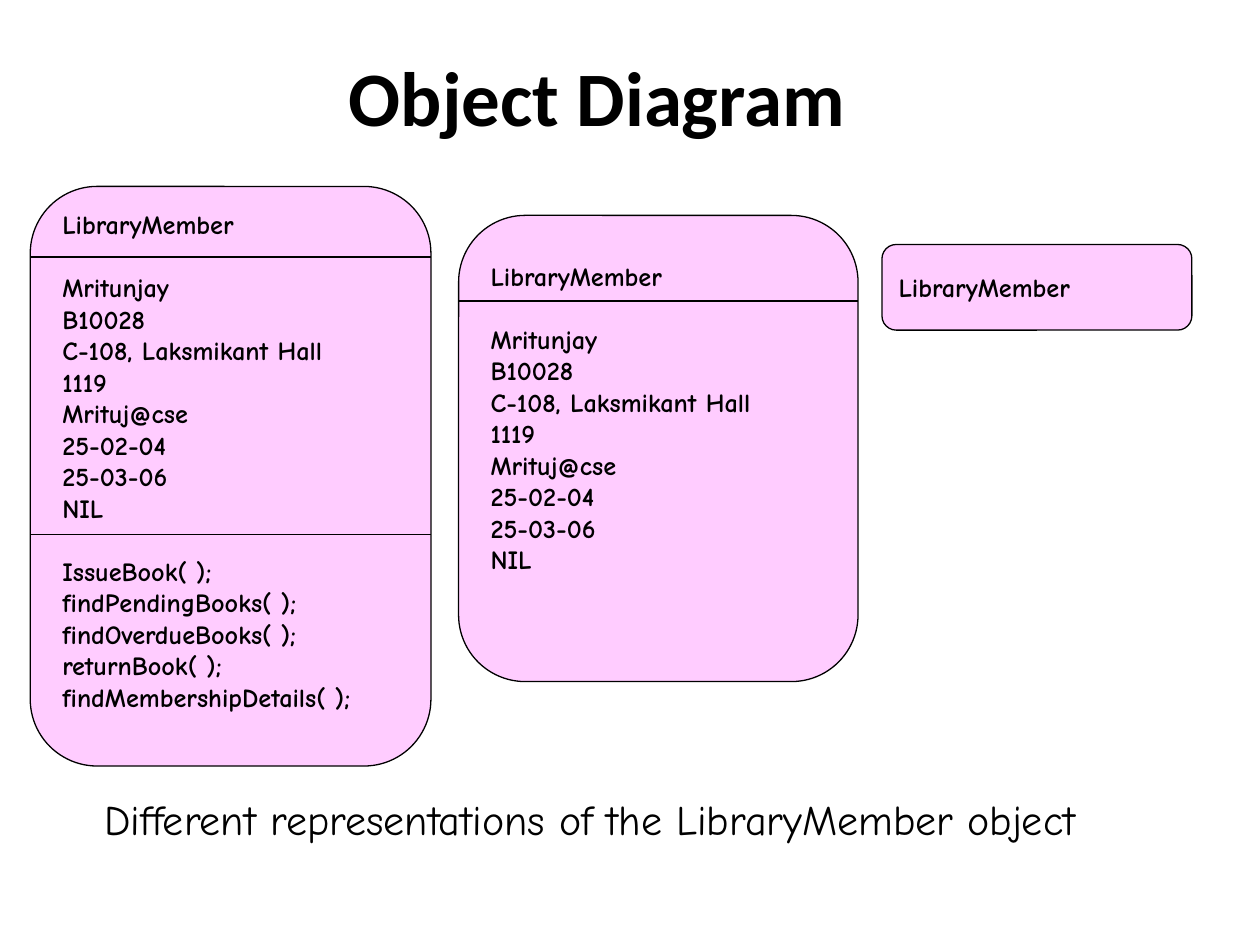
from lxml import etree
from pptx import Presentation
from pptx.dml.color import RGBColor
from pptx.enum.shapes import MSO_CONNECTOR, MSO_SHAPE
from pptx.enum.text import MSO_ANCHOR, MSO_AUTO_SIZE, PP_ALIGN
from pptx.oxml.ns import qn
from pptx.util import Inches, Pt


def color(code):
    return RGBColor.from_string(code)


def write(frame, parts, size=15, font="Comic Neue", bold=False,
          align=PP_ALIGN.LEFT, anchor=MSO_ANCHOR.TOP, pad=(0.1, 0.05, 0.1, 0.05)):
    """Write parts, each a list of lines, with a one-line gap between parts."""
    frame.word_wrap = True
    frame.auto_size = MSO_AUTO_SIZE.NONE
    frame.vertical_anchor = anchor
    (frame.margin_left, frame.margin_top,
     frame.margin_right, frame.margin_bottom) = [Inches(p) for p in pad]
    para = None
    for part in parts:
        for i, line in enumerate(part):
            para = frame.add_paragraph() if para else frame.paragraphs[0]
            para.alignment = align
            if i == 0 and part is not parts[0]:
                para.space_before = Pt(18)
            run = para.add_run()
            run.text = line
            run.font.size = Pt(size)
            run.font.name = font
            run.font.bold = bold
            run.font.color.rgb = color("000000")


deck = Presentation()
deck.slide_width, deck.slide_height = Inches(10), Inches(7.5)
slide = deck.slides.add_slide(deck.slide_layouts[5])

# Title
title = slide.shapes.title
title.left, title.top = Inches(0.42), Inches(0.17)
title.width, title.height = Inches(8.5), Inches(1.25)
write(title.text_frame, [["Object Diagram"]], size=44, font="Calibri", bold=True,
      align=PP_ALIGN.CENTER, anchor=MSO_ANCHOR.MIDDLE, pad=(0.16, 0.05, 0.02, 0.05))
title.text_frame.paragraphs[0].line_spacing = 0.94
title.text_frame.paragraphs[0].space_before = Pt(12.3)

# Caption
note = slide.shapes.add_textbox(Inches(0.73), Inches(6.25), Inches(9.09), Inches(0.5))
write(note.text_frame, [["Different representations of the LibraryMember object"]],
      size=24)

# Object boxes: place, top padding, divider heights, text
name = ["LibraryMember"]
data = ["Mritunjay", "B10028", "C-108, Laksmikant Hall", "1119", "Mrituj@cse",
        "25-02-04", "25-03-06", "NIL"]
calls = ["IssueBook( );", "findPendingBooks( );", "findOverdueBooks( );",
         "returnBook( );", "findMembershipDetails( );"]
boxes = [
    (0.24, 1.48, 3.18, 4.6, 0.02, [2.04, 4.24], [name, data, calls]),
    (3.64, 1.71, 3.17, 3.7, 0.2, [2.39], [name, data]),
    (7, 1.94, 2.46, 0.68, 0.18, [], [name]),
]
for left, top, wide, high, gap, rules, parts in boxes:
    group = slide.shapes.add_group_shape().shapes if len(rules) > 1 else slide.shapes
    box = group.add_shape(MSO_SHAPE.ROUNDED_RECTANGLE, Inches(left), Inches(top),
                          Inches(wide), Inches(high))
    box.adjustments[0] = 0.167
    box.shadow.inherit = False
    box.fill.solid()
    box.fill.fore_color.rgb = color("FFCCFF")
    box.line.color.rgb = color("000000")
    box.line.width = Pt(0.75)
    write(box.text_frame, parts, bold=True, pad=(0.1, gap, 0.1, 0))

    # Dividers
    for y in rules:
        rule = group.add_connector(MSO_CONNECTOR.STRAIGHT, Inches(left), Inches(y),
                                   Inches(left + wide), Inches(y))
        rule.line.color.rgb = color("000000")
        rule.line.width = Pt(0.75)
        etree.SubElement(rule._element.spPr, qn("a:effectLst"))

deck.save("out.pptx")
